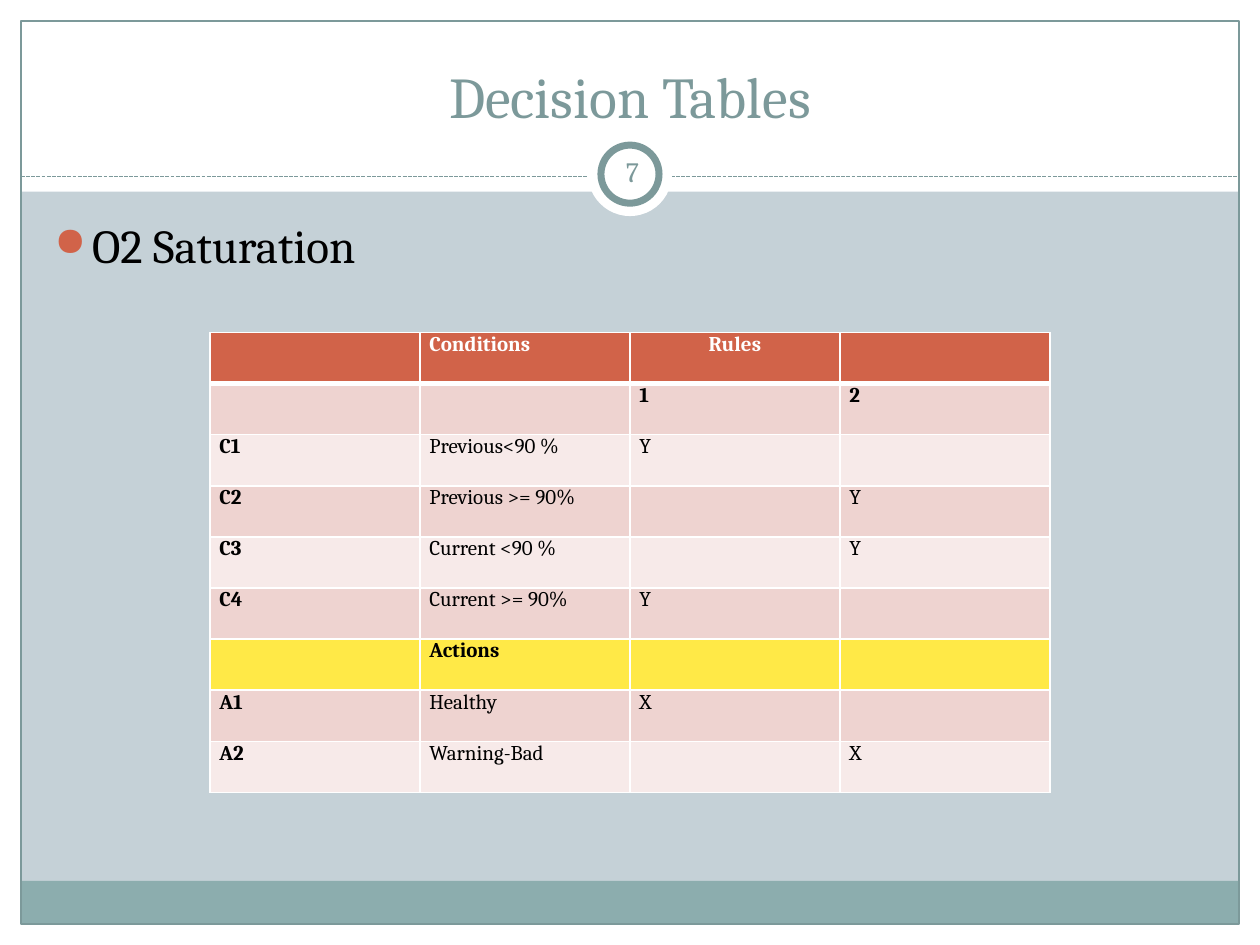
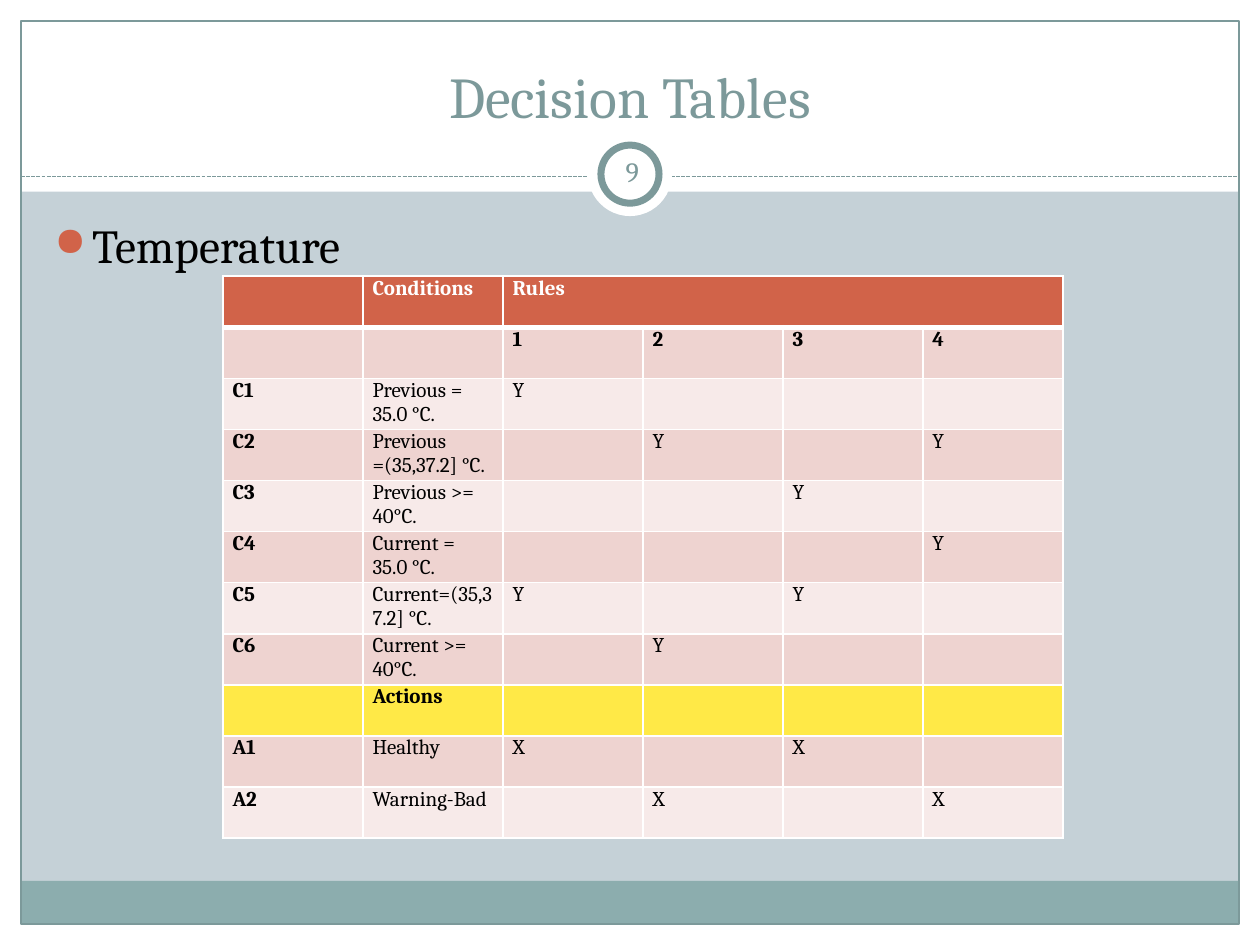
from dataclasses import dataclass
from typing import Optional

import lxml.etree
import pptx
import pptx.dml.color
import pptx.enum.dml
import pptx.enum.shapes
import pptx.enum.text
import pptx.oxml
import pptx.oxml.ns
import pptx.presentation
import pptx.shapes.autoshape
import pptx.slide
import pptx.table
import pptx.text.text
import pptx.util

Pt = pptx.util.Pt
qn = pptx.oxml.ns.qn
RECTANGLE = pptx.enum.shapes.MSO_SHAPE.RECTANGLE
OVAL = pptx.enum.shapes.MSO_SHAPE.OVAL
CENTER = pptx.enum.text.PP_ALIGN.CENTER
LEFT = pptx.enum.text.PP_ALIGN.LEFT
MIDDLE = pptx.enum.text.MSO_ANCHOR.MIDDLE

FONT = "Cambria"
WIDTH, HEIGHT, MARGIN = 720, 540, 12
ROW_HEIGHT = 29.2
TABLE_WIDTH = 480
COLORS = {
    "background": "C5D1D7",
    "white": "FFFFFF",
    "black": "000000",
    "teal": "7C999A",
    "footer": "8CADAE",
    "accent": "D16349",
    "band dark": "EED3D0",
    "band light": "F7EAE9",
    "actions": "FFE947",
}


@dataclass(frozen=True)
class Panel:
    left: float
    top: float
    width: float
    height: float
    fill: Optional[str] = "white"
    line_width: float = 0
    kind: pptx.enum.shapes.MSO_SHAPE = RECTANGLE


@dataclass(frozen=True)
class DecisionTable:
    number: str
    topic: str
    left: float
    top: float
    rows: list[list[str]]
    rules_alignment: pptx.enum.text.PP_ALIGN = LEFT
    merge_rules: bool = False


FRAME = [
    Panel(0, HEIGHT - MARGIN, WIDTH, MARGIN),
    Panel(0, 0, WIDTH, 109.5),
    Panel(0, 0, MARGIN, HEIGHT),
    Panel(WIDTH - MARGIN, 0, MARGIN, HEIGHT),
    Panel(MARGIN, 503.3, WIDTH - 2 * MARGIN, 24.7, "footer"),
    Panel(MARGIN, MARGIN, WIDTH - 2 * MARGIN, HEIGHT - 2 * MARGIN, None, 0.75),
]
BADGE = [
    Panel(336, 75.5, 48, 48, kind=OVAL),
    Panel(343.4, 82.9, 33.2, 33.2, line_width=4, kind=OVAL),
]

TABLES = [
    DecisionTable("7", "O2 Saturation", 120, 190, [
        ["", "Conditions", "Rules", ""],
        ["", "", "1", "2"],
        ["C1", "Previous<90 %", "Y", ""],
        ["C2", "Previous >= 90%", "", "Y"],
        ["C3", "Current <90 %", "", "Y"],
        ["C4", "Current >= 90%", "Y", ""],
        ["", "Actions", "", ""],
        ["A1", "Healthy", "X", ""],
        ["A2", "Warning-Bad", "", "X"],
    ], rules_alignment=CENTER),
    DecisionTable("9", "Temperature", 127.5, 157.8, [
        ["", "Conditions", "Rules", "", "", ""],
        ["", "", "1", "2", "3", "4"],
        ["C1", "Previous = 35.0 °C.", "Y", "", "", ""],
        ["C2", "Previous =(35,37.2] °C.", "", "Y", "", "Y"],
        ["C3", "Previous >= 40°C.", "", "", "Y", ""],
        ["C4", "Current = 35.0 °C.", "", "", "", "Y"],
        ["C5", "Current=(35,37.2] °C.", "Y", "", "Y", ""],
        ["C6", "Current >= 40°C.", "", "Y", "", ""],
        ["", "Actions", "", "", "", ""],
        ["A1", "Healthy", "X", "", "X", ""],
        ["A2", "Warning-Bad", "", "X", "", "X"],
    ], merge_rules=True),
]


def rgb(name: str) -> pptx.dml.color.RGBColor:
    return pptx.dml.color.RGBColor.from_string(COLORS[name])


def write(frame: pptx.text.text.TextFrame, text: str, size: float, color: str,
          alignment: pptx.enum.text.PP_ALIGN = LEFT,
          bold: bool = False) -> pptx.text.text._Paragraph:
    frame.text = text
    frame.word_wrap = True
    paragraph = frame.paragraphs[0]
    paragraph.alignment = alignment
    font = paragraph.font
    font.name, font.size, font.bold = FONT, Pt(size), bold
    font.color.rgb = rgb(color)
    return paragraph


def draw_panel(slide: pptx.slide.Slide, panel: Panel) -> None:
    shape = slide.shapes.add_shape(panel.kind, Pt(panel.left), Pt(panel.top),
                                   Pt(panel.width), Pt(panel.height))
    shape.shadow.inherit = False
    if panel.fill:
        shape.fill.solid()
        shape.fill.fore_color.rgb = rgb(panel.fill)
    else:
        shape.fill.background()
    if panel.line_width:
        shape.line.color.rgb = rgb("teal")
        shape.line.width = Pt(panel.line_width)
    else:
        shape.line.fill.background()


def draw_divider(slide: pptx.slide.Slide) -> None:
    divider = slide.shapes.add_connector(
        pptx.enum.shapes.MSO_CONNECTOR.STRAIGHT,
        Pt(MARGIN), Pt(100.8), Pt(WIDTH - MARGIN), Pt(100.8))
    divider.line.color.rgb = rgb("teal")
    divider.line.width = Pt(0.75)
    divider.line.dash_style = pptx.enum.dml.MSO_LINE.SQUARE_DOT
    properties = divider.element.find(qn("p:spPr"))
    lxml.etree.SubElement(properties, qn("a:effectLst"))


def draw_title(slide: pptx.slide.Slide) -> None:
    title = slide.shapes.title
    title.left, title.top = Pt(24), Pt(18)
    title.width, title.height = Pt(672), Pt(60)
    write(title.text_frame, "Decision Tables", 33, "teal", CENTER)
    title.text_frame.auto_size = pptx.enum.text.MSO_AUTO_SIZE.NONE
    title.text_frame.vertical_anchor = pptx.enum.text.MSO_ANCHOR.BOTTOM
    slide.shapes.element.append(title.element)


def draw_number(slide: pptx.slide.Slide, number: str) -> None:
    frame = slide.shapes.add_textbox(Pt(343.4), Pt(80.6), Pt(36), Pt(34.6)).text_frame
    frame.margin_left = frame.margin_right = Pt(3.6)
    frame.margin_top = frame.margin_bottom = Pt(3.6)
    frame.vertical_anchor = MIDDLE
    write(frame, number, 16, "teal", CENTER)


def draw_topic(slide: pptx.slide.Slide, topic: str) -> None:
    box = slide.shapes.add_textbox(Pt(24), Pt(120), Pt(669.6), Pt(360))
    paragraph = write(box.text_frame, topic, 27, "black")
    paragraph.space_before = Pt(5.4)
    properties = paragraph._p.get_or_add_pPr()
    properties.set("marL", str(Pt(21.6)))
    properties.set("indent", str(-Pt(21.6)))
    bullet_color = lxml.etree.Element(qn("a:buClr"))
    lxml.etree.SubElement(bullet_color, qn("a:srgbClr"), val=COLORS["accent"])
    bullet_size = lxml.etree.Element(qn("a:buSzPct"), val="85000")
    bullet = lxml.etree.Element(qn("a:buChar"), char="●")
    default_run = properties.find(qn("a:defRPr"))
    for element in (bullet_color, bullet_size, bullet):
        default_run.addprevious(element)


def set_borders(cell: pptx.table._Cell, row: int) -> None:
    properties = cell._tc.get_or_add_tcPr()
    widths = {"L": 1, "R": 1, "T": 3 if row == 1 else 1, "B": 3 if row == 0 else 1}
    for index, (side, width) in enumerate(widths.items()):
        border = lxml.etree.Element(qn(f"a:ln{side}"), w=str(Pt(width)))
        fill = lxml.etree.SubElement(border, qn("a:solidFill"))
        lxml.etree.SubElement(fill, qn("a:srgbClr"), val=COLORS["white"])
        properties.insert(index, border)


def row_fill(row: int, values: list[str]) -> str:
    if row == 0:
        return "accent"
    if values[1] == "Actions":
        return "actions"
    return "band dark" if row % 2 else "band light"


def draw_table(slide: pptx.slide.Slide, decision: DecisionTable) -> None:
    row_count, column_count = len(decision.rows), len(decision.rows[0])
    table = slide.shapes.add_table(
        row_count, column_count, Pt(decision.left), Pt(decision.top),
        Pt(TABLE_WIDTH), Pt(ROW_HEIGHT * row_count)).table
    table.horz_banding = False
    for column in table.columns:
        column.width = Pt(TABLE_WIDTH / column_count)
    for row, values in enumerate(decision.rows):
        table.rows[row].height = Pt(ROW_HEIGHT)
        for column, text in enumerate(values):
            cell = table.cell(row, column)
            cell.margin_left = cell.margin_right = Pt(5.4)
            cell.margin_top = cell.margin_bottom = 0
            cell.fill.solid()
            cell.fill.fore_color.rgb = rgb(row_fill(row, values))
            set_borders(cell, row)
            write(cell.text_frame, text, 12,
                  "white" if row == 0 else "black",
                  decision.rules_alignment if text == "Rules" else LEFT,
                  row < 2 or column == 0 or text == "Actions")
    if decision.merge_rules:
        table.cell(0, 2).merge(table.cell(0, column_count - 1))


def build_slide(presentation: pptx.presentation.Presentation,
                decision: DecisionTable) -> None:
    slide = presentation.slides.add_slide(presentation.slide_layouts[5])
    for panel in FRAME:
        draw_panel(slide, panel)
    draw_divider(slide)
    for panel in BADGE:
        draw_panel(slide, panel)
    draw_title(slide)
    draw_number(slide, decision.number)
    draw_topic(slide, decision.topic)
    draw_table(slide, decision)


def main() -> None:
    presentation = pptx.Presentation()
    presentation.slide_width, presentation.slide_height = Pt(WIDTH), Pt(HEIGHT)
    background = presentation.slide_master.background.fill
    background.solid()
    background.fore_color.rgb = rgb("background")
    for decision in TABLES:
        build_slide(presentation, decision)
    presentation.save("out.pptx")


if __name__ == "__main__":
    main()
